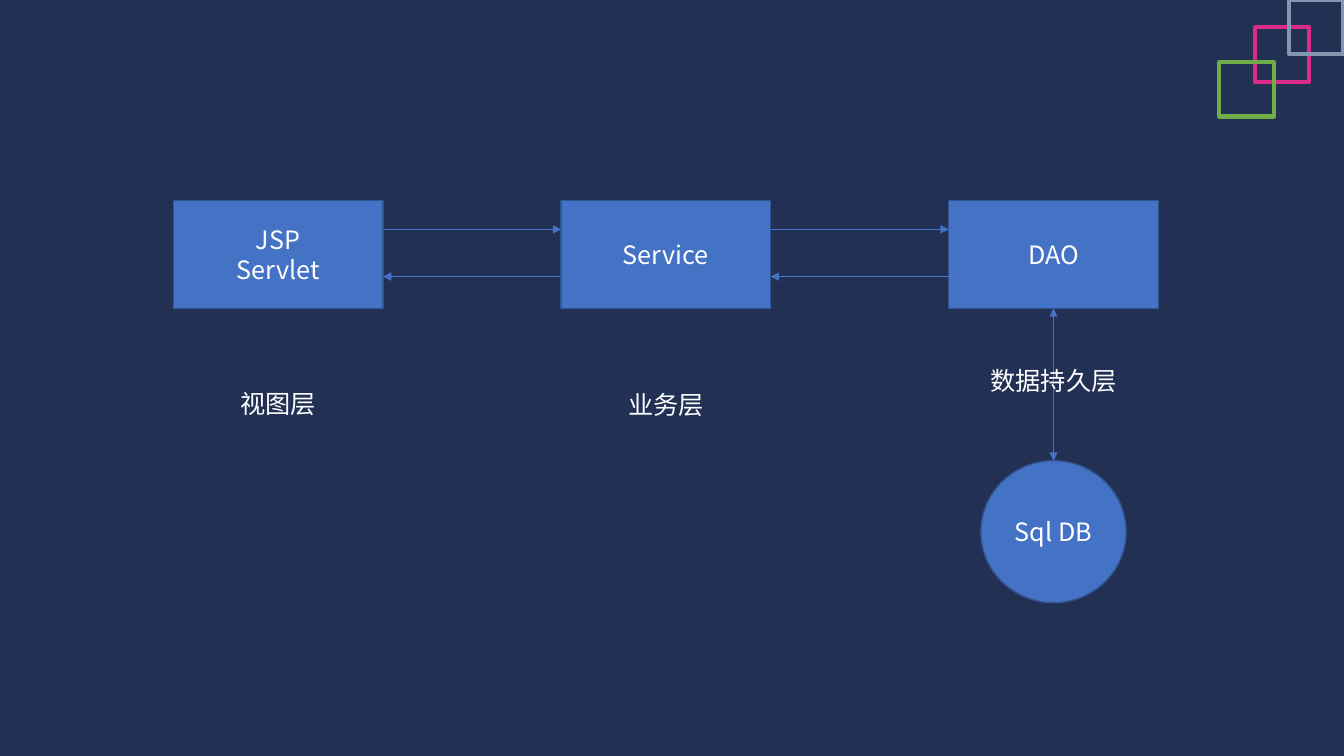
"""Build the layered web application slide."""
from typing import NamedTuple

from pptx import Presentation, util as u
from pptx.dml.color import RGBColor
from pptx.enum import shapes, text
from pptx.oxml.ns import qn
from lxml import etree

FONT = "Noto Sans CJK SC"
NAVY, BLUE, EDGE, WHITE = "223054", "4472C4", "325491", "FFFFFF"
RECT, OVAL = shapes.MSO_SHAPE.RECTANGLE, shapes.MSO_SHAPE.OVAL
LEFT, TOP, WIDTH, HEIGHT, PITCH = 4.37, 5.05, 5.28, 2.72, 9.77
REQUEST_Y, REPLY_Y = 5.78, 6.97
STORE_TOP, STORE_WIDTH, STORE_HEIGHT = 11.61, 3.66, 3.58
CAPTION_HEIGHT, SQUARE = 1.02, 1.37


class Layer(NamedTuple):
    """One application layer and its caption."""
    title: str
    caption: str
    caption_top: float
    caption_width: float


class Square(NamedTuple):
    """One outlined corner square."""
    left: float
    top: float
    color: str


LAYERS = [
    Layer("JSP\nServlet", "视图层", 9.65, 2.44),
    Layer("Service", "业务层", 9.68, 2.44),
    Layer("DAO", "数据持久层", 9.09, 3.71),
]
SQUARES = [
    Square(31.62, 0.69, "DA2B89"),
    Square(32.49, 0, "8497B0"),
    Square(30.73, 1.57, "70AD47"),
]


def rgb(color: str) -> RGBColor:
    """Turn a hex string into a colour."""
    return RGBColor.from_string(color)


def write(frame, words: str, *, size: float = 18, color: str = WHITE,
          anchor=text.MSO_ANCHOR.MIDDLE, wrap: bool = True) -> None:
    """Write centred paragraphs, one for each line of words."""
    frame.word_wrap = wrap
    frame.vertical_anchor = anchor
    for index, line in enumerate(words.split("\n")):
        paragraph = frame.add_paragraph() if index else frame.paragraphs[0]
        paragraph.alignment = text.PP_ALIGN.CENTER
        run = paragraph.add_run()
        run.text = line
        run.font.size = u.Pt(size)
        run.font.name = FONT
        run.font.color.rgb = rgb(color)
        etree.SubElement(run.font._element, qn("a:ea"), typeface=FONT)


def draw(slide, kind, left: float, top: float, width: float, height: float,
         *, line: str, weight: float = 1, fill: str = ""):
    """Draw a preset shape, hollow when no fill is given."""
    shape = slide.shapes.add_shape(
        kind, u.Cm(left), u.Cm(top), u.Cm(width), u.Cm(height))
    shape.shadow.inherit = False
    if fill:
        shape.fill.solid()
        shape.fill.fore_color.rgb = rgb(fill)
    else:
        shape.fill.background()
    shape.line.color.rgb = rgb(line)
    shape.line.width = u.Pt(weight)
    return shape


def arrow(slide, x1: float, y1: float, x2: float, y2: float,
          *, both: bool = False) -> None:
    """Draw a thin arrow, with a head at both ends if asked."""
    link = slide.shapes.add_connector(
        shapes.MSO_CONNECTOR.STRAIGHT, u.Cm(x1), u.Cm(y1), u.Cm(x2), u.Cm(y2))
    link.line.color.rgb = rgb(BLUE)
    link.line.width = u.Pt(0.5)
    outline = link._element.spPr.find(qn("a:ln"))
    for end in ("a:headEnd", "a:tailEnd") if both else ("a:tailEnd",):
        etree.SubElement(outline, qn(end), type="triangle")
    etree.SubElement(link._element.spPr, qn("a:effectLst"))


def main() -> None:
    """Build and save the slide."""
    deck = Presentation()
    deck.slide_width, deck.slide_height = u.Cm(33.87), u.Cm(19.05)
    slide = deck.slides.add_slide(deck.slide_layouts[6])
    slide.background.fill.solid()
    slide.background.fill.fore_color.rgb = rgb(NAVY)

    lefts = [LEFT + PITCH * column for column in range(len(LAYERS))]
    for left, layer in zip(lefts, LAYERS):
        box = draw(slide, RECT, left, TOP, WIDTH, HEIGHT, line=EDGE, fill=BLUE)
        write(box.text_frame, layer.title)
    for left, following in zip(lefts, lefts[1:]):
        arrow(slide, left + WIDTH, REQUEST_Y, following, REQUEST_Y)
        arrow(slide, following, REPLY_Y, left + WIDTH, REPLY_Y)

    center = lefts[-1] + WIDTH / 2
    store = draw(slide, OVAL, center - STORE_WIDTH / 2, STORE_TOP,
                 STORE_WIDTH, STORE_HEIGHT, line=EDGE, fill=BLUE)
    write(store.text_frame, "Sql DB")
    arrow(slide, center, TOP + HEIGHT, center, STORE_TOP, both=True)

    for left, layer in zip(lefts, LAYERS):
        caption = slide.shapes.add_textbox(
            u.Cm(left + (WIDTH - layer.caption_width) / 2),
            u.Cm(layer.caption_top),
            u.Cm(layer.caption_width), u.Cm(CAPTION_HEIGHT))
        write(caption.text_frame, layer.caption,
              anchor=text.MSO_ANCHOR.TOP, wrap=False)

    for square in SQUARES:
        draw(slide, RECT, square.left, square.top, SQUARE, SQUARE,
             line=square.color, weight=3)
    deck.save("out.pptx")


main()
